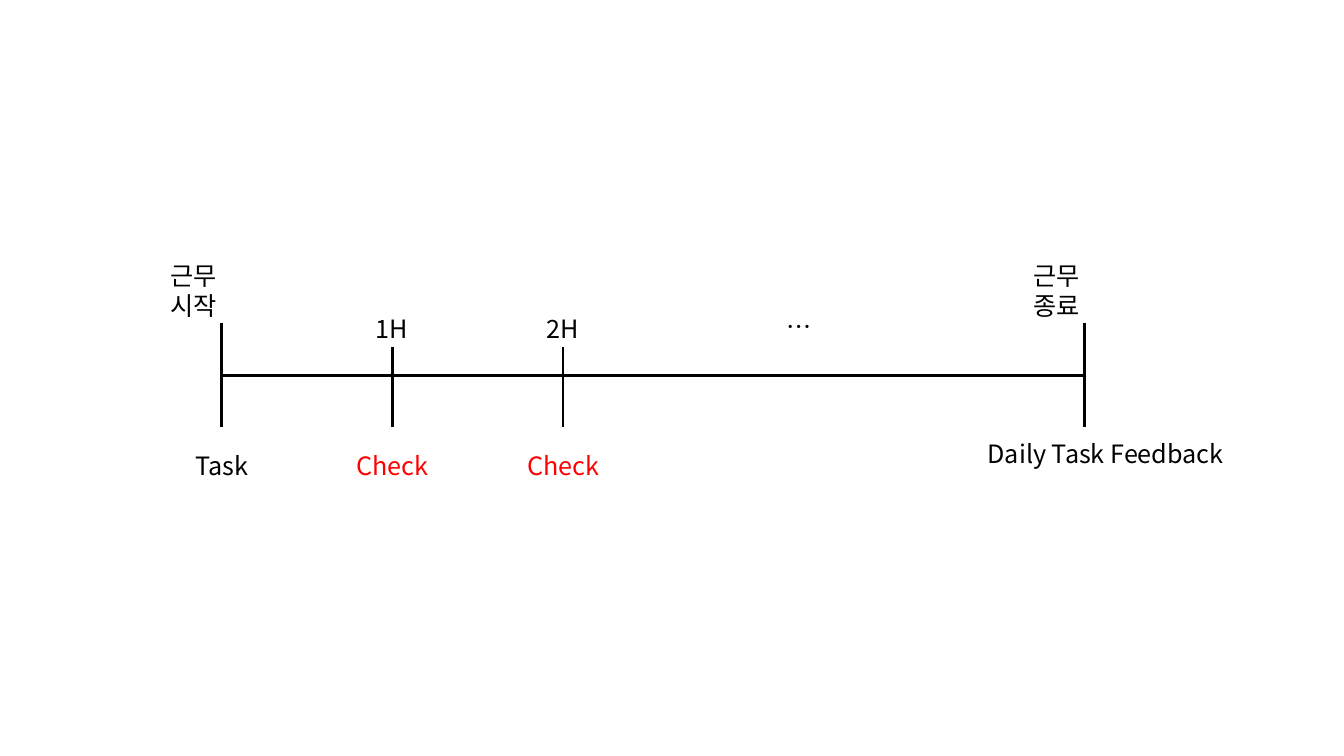
from lxml import etree
from pptx import Presentation
from pptx.dml.color import RGBColor
from pptx.enum.shapes import MSO_CONNECTOR
from pptx.enum.text import MSO_AUTO_SIZE, PP_ALIGN
from pptx.oxml.ns import qn
from pptx.util import Cm, Pt

BLACK = RGBColor(0, 0, 0)
RED = RGBColor(255, 0, 0)
FONT = "Noto Sans CJK KR"

START, HOUR, END = 5.59, 4.3, 27.33
AXIS_Y, TICK_BOTTOM = 9.47, 10.77
END_TICK_TOP, HOUR_TICK_TOP = 8.13, 8.74
TEXT_H, TASK_W, TASK_Y = 1.03, 3.68, 11.23

SHIFT_LABELS = [("근무 시작", START - 1.54), ("근무 종료", END - 1.54)]
HOUR_LABELS = ["1H", "2H"]
TASKS = [("Task", BLACK), ("Check", RED), ("Check", RED)]


def add_line(s, x1, y1, x2, y2):
    line = s.shapes.add_connector(MSO_CONNECTOR.STRAIGHT, Cm(x1), Cm(y1), Cm(x2), Cm(y2))
    line.line.color.rgb = BLACK
    line.line.width = Pt(2)
    etree.SubElement(line._element.spPr, qn("a:effectLst"))


def add_text(s, text, x, y, w, color=BLACK, align=PP_ALIGN.LEFT, wrap=True):
    sp = s.shapes.add_textbox(Cm(x), Cm(y), Cm(w), Cm(TEXT_H))
    tf = sp.text_frame
    tf.text = text
    tf.word_wrap = wrap
    tf.auto_size = MSO_AUTO_SIZE.SHAPE_TO_FIT_TEXT
    p = tf.paragraphs[0]
    p.alignment = align
    r = p.runs[0]
    r.font.size = Pt(18)
    r.font.name = FONT
    r.font.color.rgb = color
    etree.SubElement(r.font._element, qn("a:ea"), typeface=FONT)


def main():
    prs = Presentation()
    prs.slide_width, prs.slide_height = Cm(33.87), Cm(19.05)
    s = prs.slides.add_slide(prs.slide_layouts[6])

    add_line(s, START, AXIS_Y, END, AXIS_Y)
    for x in (START, END):
        add_line(s, x, END_TICK_TOP, x, TICK_BOTTOM)
    for text, x in SHIFT_LABELS:
        add_text(s, text, x, 6.43, 2.75)

    for i, text in enumerate(HOUR_LABELS, 1):
        x = START + i * HOUR
        add_line(s, x, HOUR_TICK_TOP, x, TICK_BOTTOM)
        add_text(s, text, x - 0.67, 7.77, 1.35, wrap=False)
    add_text(s, "…", 19.58, 7.72, 1.14, wrap=False)

    for i, (text, color) in enumerate(TASKS):
        x = START + i * HOUR - TASK_W / 2
        add_text(s, text, x, TASK_Y, TASK_W, color, PP_ALIGN.CENTER)
    add_text(s, "Daily Task Feedback", 18.75, 10.92, 12.34, align=PP_ALIGN.RIGHT)

    prs.save("out.pptx")


if __name__ == "__main__":
    main()
